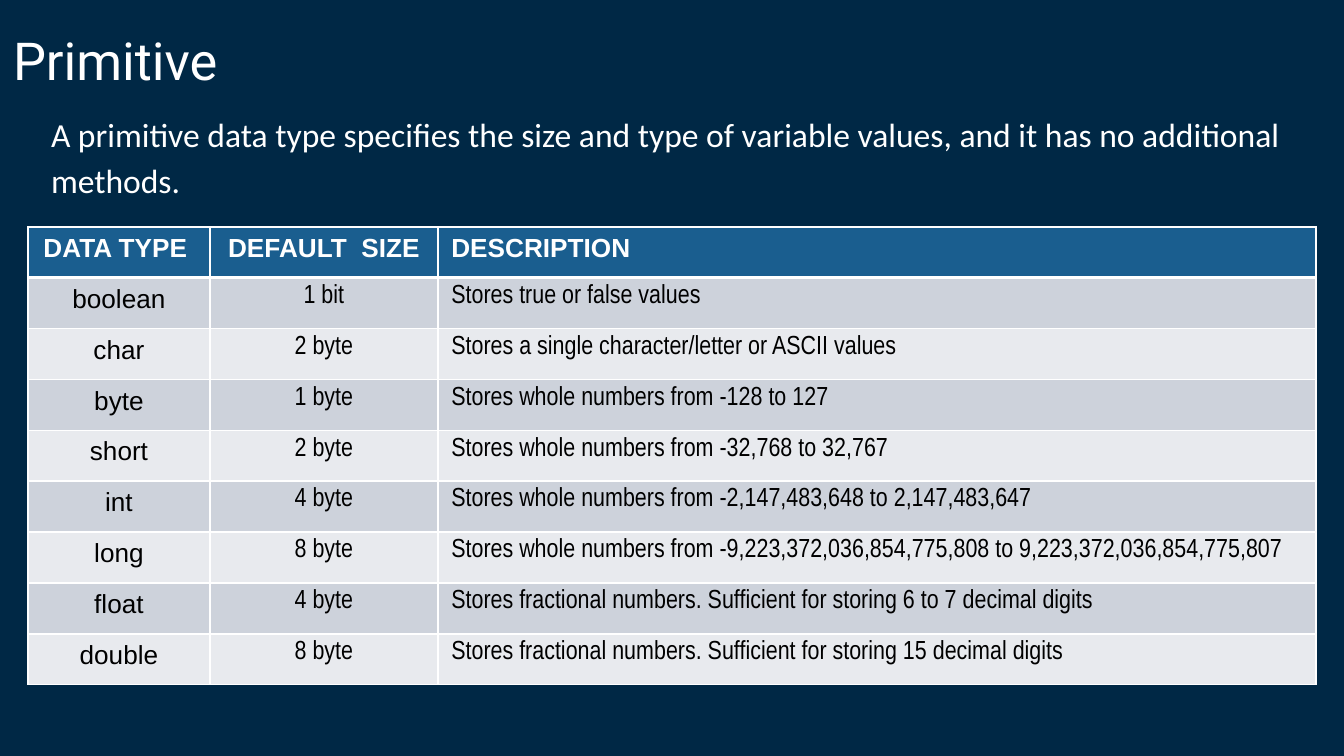
"""Builds a slide about primitive data types with a table of sizes and descriptions."""
from lxml.etree import SubElement
from pptx import Presentation
from pptx.dml.color import RGBColor as RGB
from pptx.enum.text import MSO_ANCHOR as ANCHOR, MSO_AUTO_SIZE as AUTO_SIZE, PP_ALIGN as ALIGN
from pptx.oxml.ns import qn
from pptx.util import Pt

SCALE = 914400 / 134.4
COLORS = {
    "background": "002845",
    "header": "1A5E8F",
    "odd": "CDD2DB",
    "even": "E8EAEE",
    "light": "FFFFFF",
    "dark": "000000",
}


def px(length):
    return round(length * SCALE)


def write(frame, text, font, size, color, align, bold=False):
    para = frame.paragraphs[0]
    para.alignment = align
    para.space_before = Pt(0)
    span = para.add_run()
    span.text = text
    span.font.color.rgb = RGB.from_string(COLORS[color])
    for name, value in {"name": font, "size": Pt(size), "bold": bold}.items():
        setattr(span.font, name, value)
    return para


deck = Presentation()
deck.slide_width, deck.slide_height = px(1344), px(756)
page = deck.slides.add_slide(deck.slide_layouts[0])
page.background.fill.solid()
page.background.fill.fore_color.rgb = RGB.from_string(COLORS["background"])

title, body = page.placeholders
for box, bounds, anchor in [
    (title, (0, 19, 395, 85), ANCHOR.BOTTOM),
    (body, (38, 95, 1258, 140), ANCHOR.TOP),
]:
    for name, value in zip(("left", "top", "width", "height"), bounds):
        setattr(box, name, px(value))
    frame_format = {"vertical_anchor": anchor, "word_wrap": True, "auto_size": AUTO_SIZE.NONE}
    for side in ("left", "top", "right", "bottom"):
        frame_format[f"margin_{side}"] = px(13)
    for name, value in frame_format.items():
        setattr(box.text_frame, name, value)

write(title.text_frame, "Primitive", "Roboto", 28, "light", ALIGN.LEFT)
intro = write(
    body.text_frame,
    "A primitive data type specifies the size and type of variable values, "
    "and it has no additional methods.",
    "Calibri", 18, "light", ALIGN.LEFT,
)
intro.line_spacing = 1.15

rows = [
    ("DATA TYPE ", "DEFAULT  SIZE", "DESCRIPTION"),
    ("boolean", "1 bit", "Stores true or false values"),
    ("char", "2 byte", "Stores a single character/letter or ASCII values"),
    ("byte", "1 byte", "Stores whole numbers from -128 to 127"),
    ("short", "2 byte", "Stores whole numbers from -32,768 to 32,767"),
    ("int", "4 byte", "Stores whole numbers from -2,147,483,648 to 2,147,483,647"),
    ("long", "8 byte",
     "Stores whole numbers from -9,223,372,036,854,775,808 to 9,223,372,036,854,775,807"),
    ("float", "4 byte", "Stores fractional numbers. Sufficient for storing 6 to 7 decimal digits"),
    ("double", "8 byte", "Stores fractional numbers. Sufficient for storing 15 decimal digits"),
]
widths = (182, 228, 878)
aligns = (ALIGN.CENTER, ALIGN.CENTER, ALIGN.LEFT)
fonts = ("Arial", "Arial Narrow", "Arial Narrow")

table = page.shapes.add_table(
    len(rows), len(widths), px(28), px(227), px(sum(widths)), px(458)
).table
for column, width in zip(table.columns, widths):
    column.width = px(width)

for row_index, texts in enumerate(rows):
    is_header = row_index == 0
    fill = "header" if is_header else "odd" if row_index % 2 else "even"
    for column_index, text in enumerate(texts):
        cell = table.cell(row_index, column_index)
        write(
            cell.text_frame, text,
            "Arial" if is_header else fonts[column_index], 14,
            "light" if is_header else "dark", aligns[column_index], is_header,
        )
        if is_header:
            border = SubElement(cell._tc.get_or_add_tcPr(), qn("a:lnB"), w=str(Pt(2)))
            paint = SubElement(border, qn("a:solidFill"))
            SubElement(paint, qn("a:srgbClr"), val=COLORS["light"])
        cell.fill.solid()
        cell.fill.fore_color.rgb = RGB.from_string(COLORS[fill])

deck.save("out.pptx")
